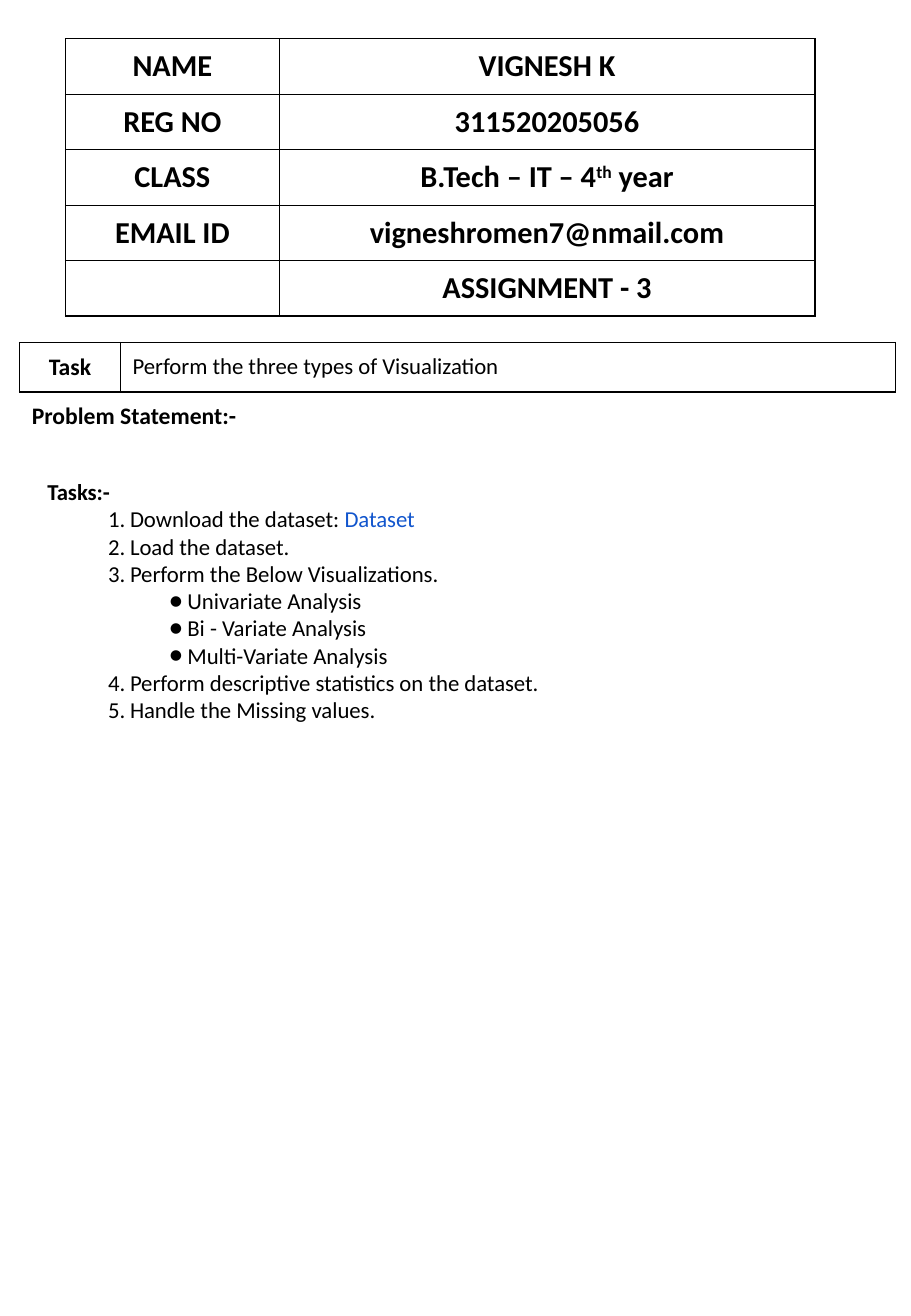
"""Build the assignment cover page: student details, task table and task list."""
from lxml import etree
from pptx import Presentation
from pptx import util as u
from pptx.dml.color import RGBColor
from pptx.enum import text
from pptx.oxml import ns

FONT = "Calibri"
COLORS = {"ink": "000000", "link": "1155CD"}
CENTER, LEFT, JUSTIFY = text.PP_ALIGN.CENTER, text.PP_ALIGN.LEFT, text.PP_ALIGN.JUSTIFY

DETAILS = [
    ("NAME", ["VIGNESH K"]),
    ("REG NO", ["311520205056"]),
    ("CLASS", ["B.Tech – IT – 4", "th", " year"]),
    ("EMAIL ID", ["vigneshromen7@nmail.com"]),
    ("", ["ASSIGNMENT - 3"]),
]
TASK = ("Task", "Perform the three types of Visualization")
PROBLEM = "Problem Statement:-"
TASKS_TITLE = "Tasks:-"
TASKS = [
    (1, ["Download the dataset: ", "Dataset"]),
    (1, ["Load the dataset."]),
    (1, ["Perform the Below Visualizations."]),
    (0, ["Univariate Analysis"]),
    (0, ["Bi - Variate Analysis"]),
    (0, ["Multi-Variate Analysis"]),
    (4, ["Perform descriptive statistics on the dataset."]),
    (4, ["Handle the Missing values."]),
]


def add_run(p, words, size, bold=False, color="ink"):
    r = p.add_run()
    r.text = words
    r.font.name, r.font.size, r.font.bold = FONT, u.Pt(size), bold
    r.font.color.rgb = RGBColor.from_string(COLORS[color])
    return r


def add_grid(s, left, top, widths, height, rows):
    tbl = s.shapes.add_table(rows, len(widths), u.Cm(left), u.Cm(top),
                             u.Cm(sum(widths)), u.Cm(height * rows)).table
    tbl.first_row = tbl.horz_banding = False
    for col, width in zip(tbl.columns, widths):
        col.width = u.Cm(width)
    for row in tbl.rows:
        row.height = u.Cm(height)
    return tbl


def style_cell(cell, edges="LRTB"):
    cell.vertical_anchor = text.MSO_ANCHOR.MIDDLE
    tcPr = cell._tc.get_or_add_tcPr()
    for edge in "LRTB":
        ln = etree.SubElement(tcPr, ns.qn(f"a:ln{edge}"), w=str(u.Pt(1)))
        if edge in edges:
            fill = etree.SubElement(ln, ns.qn("a:solidFill"))
            etree.SubElement(fill, ns.qn("a:srgbClr"), val=COLORS["ink"])
        else:
            etree.SubElement(ln, ns.qn("a:noFill"))
    cell.fill.background()


def fill_cell(cell, words, size, bold=True, align=CENTER):
    p = cell.text_frame.paragraphs[0]
    p.alignment = align
    for part in words:
        r = add_run(p, part, size, bold)
        if part == "th":
            r._r.get_or_add_rPr().set("baseline", "30000")


def set_list(p, start):
    """Number the paragraph from start, or give it a bullet when start is 0."""
    p.level = 0 if start else 1
    margin, hang = (1.73, 0.46) if start else (2.93, 0.38)
    pPr = p._p.get_or_add_pPr()
    pPr.set("marL", str(u.Cm(margin)))
    pPr.set("indent", str(-u.Cm(hang)))
    etree.SubElement(pPr, ns.qn("a:buFont"), typeface=FONT)
    if start:
        etree.SubElement(pPr, ns.qn("a:buAutoNum"), type="arabicPeriod", startAt=str(start))
    else:
        etree.SubElement(pPr, ns.qn("a:buChar"), char="●")


prs = Presentation()
prs.slide_width, prs.slide_height = u.Cm(19.05), u.Cm(27.51)
s = prs.slides.add_slide(prs.slide_layouts[6])

details = add_grid(s, 1.37, 0.81, (4.47, 11.2), 1.16, len(DETAILS))
for i, (label, value) in enumerate(DETAILS):
    for j, words in enumerate(([label] if label else [], value)):
        style_cell(details.cell(i, j))
        fill_cell(details.cell(i, j), words, 18)

task = add_grid(s, 0.41, 7.16, (2.11, 16.2), 1.03, 2)
task.cell(1, 0).merge(task.cell(1, 1))
for j in range(2):
    style_cell(task.cell(0, j))
    style_cell(task.cell(1, j), "T")
fill_cell(task.cell(0, 0), [TASK[0]], 14)
fill_cell(task.cell(0, 1), [TASK[1]], 13.5, False, JUSTIFY)
fill_cell(task.cell(1, 0), [PROBLEM], 14, align=LEFT)

tf = s.shapes.add_textbox(u.Cm(0.74), u.Cm(9.86), u.Cm(17.98), u.Cm(5.46)).text_frame
tf.word_wrap = True
add_run(tf.paragraphs[0], TASKS_TITLE, 13.5, True)
for start, words in TASKS:
    p = tf.add_paragraph()
    set_list(p, start)
    for part in words:
        add_run(p, part, 13.5, color="link" if part == "Dataset" else "ink")

prs.save("out.pptx")
